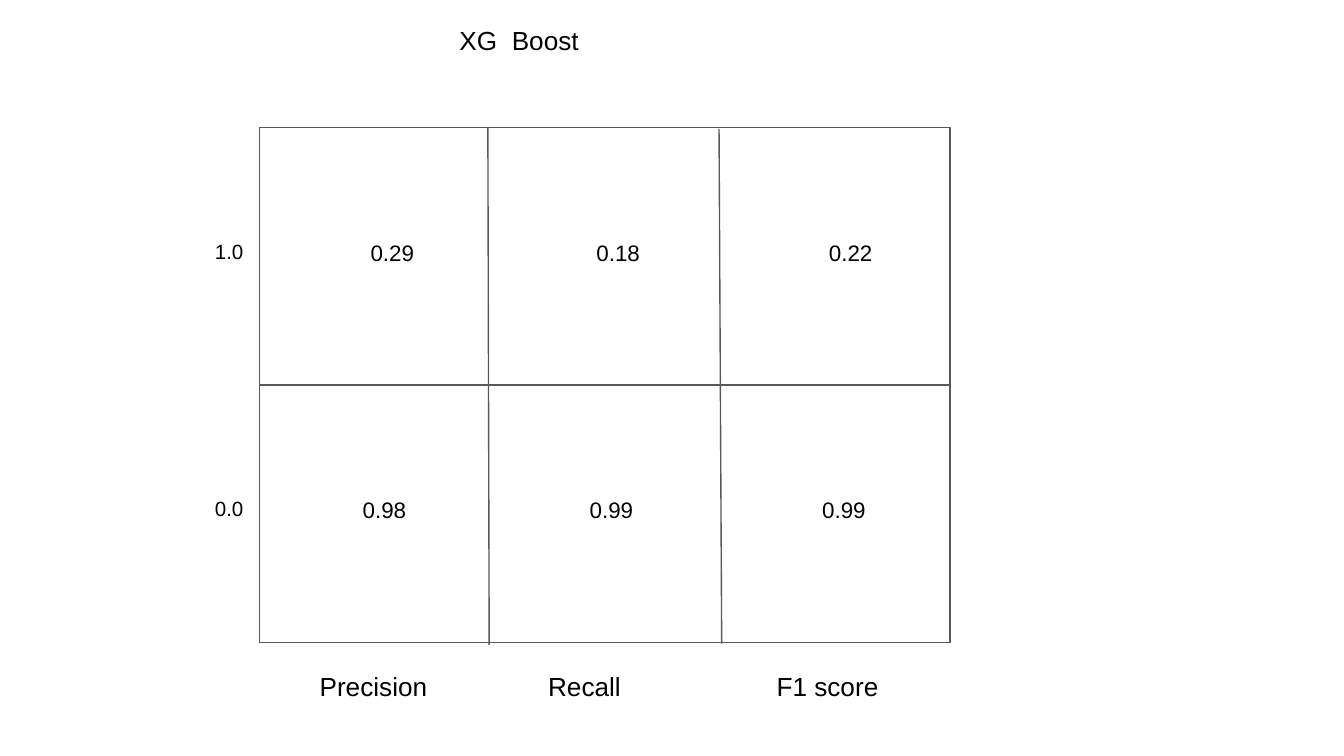
"""Build a slide with a grid of XG Boost scores per class."""
from typing import NamedTuple

from lxml import etree
from pptx import Presentation
from pptx.dml.color import RGBColor
from pptx.enum.shapes import MSO_CONNECTOR, MSO_SHAPE
from pptx.enum.text import MSO_ANCHOR, PP_ALIGN
from pptx.oxml.ns import qn
from pptx.util import Inches, Pt

BLACK = RGBColor(0x00, 0x00, 0x00)
WHITE = RGBColor(0xFF, 0xFF, 0xFF)
GRAY = RGBColor(0x59, 0x59, 0x59)
RECT = MSO_SHAPE.RECTANGLE
LINE = MSO_CONNECTOR.STRAIGHT
LEFT, CENTER, RIGHT = PP_ALIGN.LEFT, PP_ALIGN.CENTER, PP_ALIGN.RIGHT
TOP = MSO_ANCHOR.TOP
FONT = "Arial"


class Cell(NamedTuple):
    text: str
    left: float
    size: int = 12
    align: PP_ALIGN = RIGHT


class Row(NamedTuple):
    top: float
    cells: tuple[Cell, ...]


class Rule(NamedTuple):
    start: tuple[float, float]
    end: tuple[float, float]


ROWS = (
    Row(1.68, (Cell("0.29", 2.46), Cell("0.18", 4.14), Cell("0.22", 5.87),
               Cell("1.0", 1.19, 11))),
    Row(3.59, (Cell("0.98", 2.5, align=CENTER), Cell("0.99", 4.09),
               Cell("0.99", 5.82), Cell("0.0", 1.19, 11))),
)
RULES = (Rule((3.63, 0.95), (3.64, 4.8)), Rule((5.35, 0.96), (5.37, 4.79)))
HEADS = ("Precision", "Recall", "F1 score")


def set_text(shape, text: str, size: int, align: PP_ALIGN) -> None:
    """Write one styled paragraph into a shape."""
    frame = shape.text_frame
    frame.word_wrap = True
    frame.vertical_anchor = TOP
    frame.margin_left = frame.margin_right = Inches(0.1)
    frame.margin_top = frame.margin_bottom = Inches(0.1)
    para = frame.paragraphs[0]
    para.text = text
    para.alignment = align
    font = para.runs[0].font
    font.name, font.size = FONT, Pt(size)
    font.color.rgb = BLACK


def add_label(slide, text: str, left: float, top: float, width: float) -> None:
    """Add a plain text label."""
    box = slide.shapes.add_textbox(
        Inches(left), Inches(top), Inches(width), Inches(0.37))
    set_text(box, text, 14, LEFT)


def add_cell(slide, cell: Cell, top: float) -> None:
    """Add a white box holding one value."""
    box = slide.shapes.add_shape(
        RECT, Inches(cell.left), Inches(top), Inches(0.72), Inches(0.46))
    box.shadow.inherit = False
    box.fill.solid()
    box.fill.fore_color.rgb = WHITE
    box.line.fill.background()
    set_text(box, cell.text, cell.size, cell.align)


def set_line(line) -> None:
    """Apply the thin gray outline."""
    line.color.rgb = GRAY
    line.width = Pt(0.75)


def add_frame(slide):
    """Add the outer frame of the grid."""
    frame = slide.shapes.add_shape(
        RECT, Inches(1.93), Inches(0.95), Inches(5.14), Inches(3.83))
    frame.shadow.inherit = False
    frame.fill.background()
    set_line(frame.line)
    return frame


def add_rule(slide, rule: Rule):
    """Add a straight rule without a shadow."""
    (x1, y1), (x2, y2) = rule
    link = slide.shapes.add_connector(
        LINE, Inches(x1), Inches(y1), Inches(x2), Inches(y2))
    set_line(link.line)
    etree.SubElement(link._element.spPr, qn("a:effectLst"))
    return link


def main() -> None:
    """Build and save the slide."""
    deck = Presentation()
    deck.slide_width = Inches(10)
    deck.slide_height = Inches(10) * 9 // 16
    slide = deck.slides.add_slide(deck.slide_layouts[6])
    add_label(slide, "XG  Boost", 3.32, 0.08, 2.15)
    frame = add_frame(slide)
    split = add_rule(slide, Rule((1.93, 2.87), (7.07, 2.87)))
    split.begin_connect(frame, 1)
    split.end_connect(frame, 3)
    for rule in RULES:
        add_rule(slide, rule)
    for row in ROWS:
        for cell in row.cells:
            add_cell(slide, cell, row.top)
    for col, head in enumerate(HEADS):
        add_label(slide, head, 2.28 + 1.7 * col, 4.89, 1.03)
    deck.save("out.pptx")


if __name__ == "__main__":
    main()
